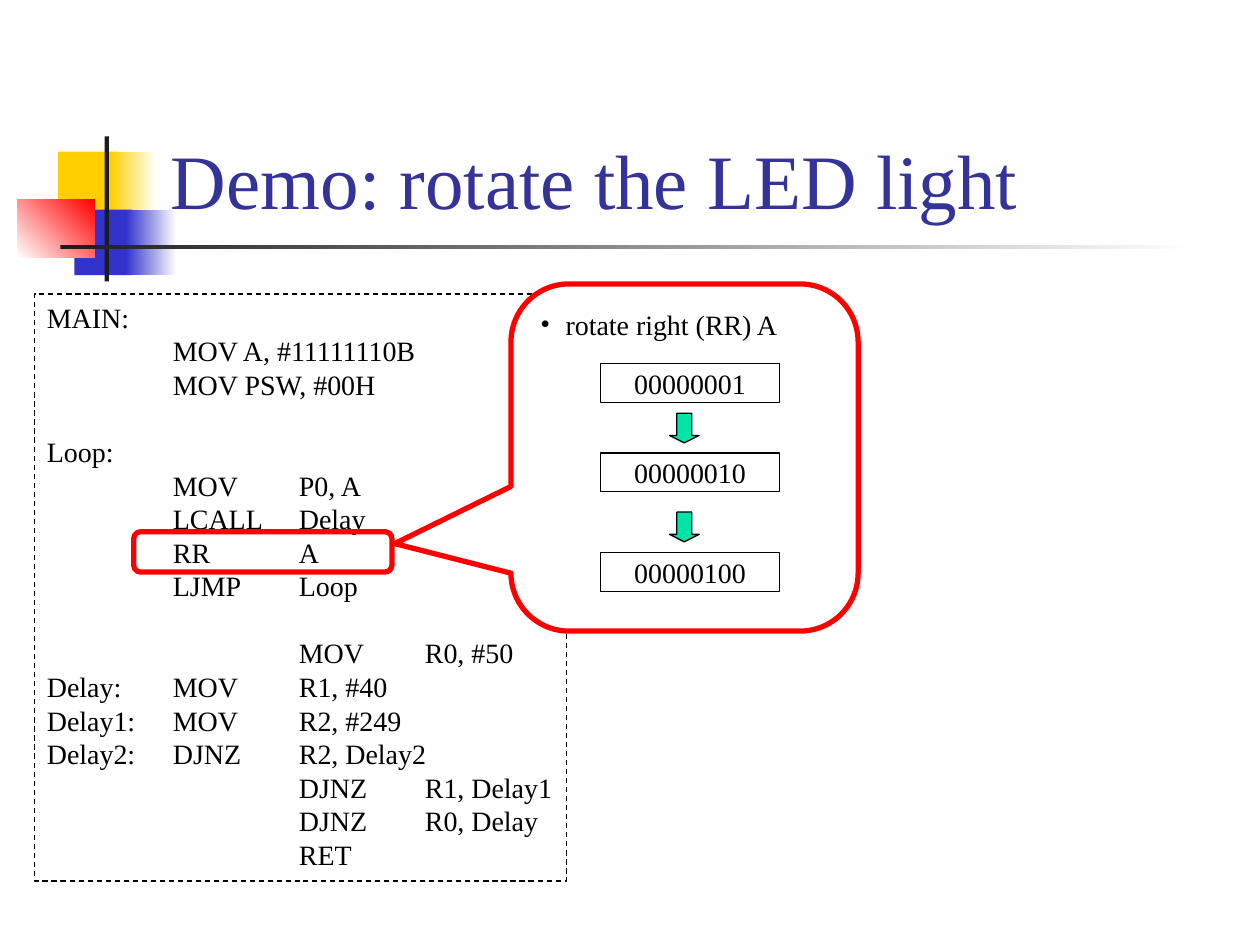
from lxml import etree
from pptx import Presentation
from pptx.dml.color import RGBColor
from pptx.enum.dml import MSO_LINE
from pptx.enum.shapes import MSO_SHAPE
from pptx.enum.text import MSO_ANCHOR, MSO_AUTO_SIZE, PP_ALIGN
from pptx.oxml.ns import qn
from pptx.util import Inches, Pt

RECT, ROUND = MSO_SHAPE.RECTANGLE, MSO_SHAPE.ROUNDED_RECTANGLE
CALL, DOWN = MSO_SHAPE.ROUNDED_RECTANGULAR_CALLOUT, MSO_SHAPE.DOWN_ARROW
DASH = MSO_LINE.DASH
TOP, MID, LOW = MSO_ANCHOR.TOP, MSO_ANCHOR.MIDDLE, MSO_ANCHOR.BOTTOM
LEFT, MIDDLE = PP_ALIGN.LEFT, PP_ALIGN.CENTER
FIXED = MSO_AUTO_SIZE.NONE
FONT = "Times New Roman"
COLS, ROWS = 100, 75
CELL = Inches(0.1)
HEX = {
    "ink": "000000", "dark": "1C1C1C", "white": "FFFFFF", "gold": "FFCF01",
    "blue": "3333CC", "red": "FF0000", "title": "333399", "mint": "00E4A8",
}
CODE = [
    ["MAIN:", "\tMOV A, #11111110B", "\tMOV PSW, #00H"],
    ["Loop:", "\tMOV \tP0, A", "\tLCALL\tDelay", "\tRR\tA", "\tLJMP\tLoop"],
    ["\t\tMOV\tR0, #50", "Delay:\tMOV\tR1, #40", "Delay1:\tMOV\tR2, #249",
     "Delay2:\tDJNZ\tR2, Delay2", "\t\tDJNZ\tR1, Delay1",
     "\t\tDJNZ\tR0, Delay", "\t\tRET"],
]
BITS = ["00000001", "00000010", "00000100"]


def color(name):
    """Return the named colour."""
    return RGBColor.from_string(HEX[name])


def place(box, x, y, wide, high):
    """Return a part's grid box from its offset inside a parent box."""
    return box[0] + x, box[1] + y, wide, high


def draw(slide, kind, box, fill=None, line=None, width=0.75):
    """Draw a preset shape in a grid box."""
    shape = slide.shapes.add_shape(kind, *(round(n * CELL) for n in box))
    shape.shadow.inherit = False
    if fill:
        shape.fill.solid()
        shape.fill.fore_color.rgb = color(fill)
    else:
        shape.fill.background()
    if line:
        shape.line.color.rgb = color(line)
        shape.line.width = Pt(width)
    else:
        shape.line.fill.background()
    return shape


def fade(shape, start, end, angle=0):
    """Fill a shape with a two-colour gradient."""
    shape.fill.gradient()
    shape.fill.gradient_angle = angle
    for stop, name in zip(shape.fill.gradient_stops, (start, end)):
        stop.color.rgb = color(name)


def write(par, text, size=16, ink="ink", align=LEFT):
    """Add one run of text to a paragraph."""
    par.alignment = align
    run = par.add_run()
    run.text = text
    run.font.name = FONT
    run.font.size = Pt(size)
    run.font.color.rgb = color(ink)


def motif(slide, box):
    """Draw the coloured squares and the crossing bars."""
    parts = [
        (3.2, 1.2, 4.8, 5.2, "gold", None, 0),
        (7.4, 1.2, 3.6, 5.2, "gold", "white", 0),
        (4.5, 5.8, 4.6, 5.2, "blue", None, 0),
        (8.6, 5.8, 4, 5.2, "blue", "white", 0),
        (0, 5, 6.1, 4.6, "white", "red", 45),
        (6.9, 0, 0.35, 11.5, "dark", None, 0),
        (3.4, 8.6, 90, 0.35, "dark", "white", 0),
    ]
    for x, y, wide, high, start, end, angle in parts:
        shape = draw(slide, RECT, place(box, x, y, wide, high), start)
        if end:
            fade(shape, start, end, angle)


def heading(slide, box):
    """Fill the title placeholder."""
    title = slide.shapes.title
    title.left, title.top, title.width, title.height = (
        round(n * CELL) for n in box)
    frame = title.text_frame
    frame.auto_size = FIXED
    frame.vertical_anchor = LOW
    write(frame.paragraphs[0], "Demo: rotate the LED light", 44, "title")


def tabs(par):
    """Set a tab stop at every inch of a paragraph."""
    stops = etree.SubElement(par._p.get_or_add_pPr(), qn("a:tabLst"))
    for inch in (1, 2, 3):
        etree.SubElement(stops, qn("a:tab"), pos=str(Inches(inch)), algn="l")


def listing(slide, box):
    """Write the program and mark its rotate line."""
    panel = draw(slide, RECT, box, line="ink")
    panel.line.dash_style = DASH
    frame = panel.text_frame
    frame.word_wrap = False
    frame.vertical_anchor = TOP
    par = frame.paragraphs[0]
    for part, block in enumerate(CODE):
        for row, text in enumerate(block):
            if part or row:
                par = frame.add_paragraph()
            if part and not row:
                par.space_before = Pt(19.2)
            write(par, text)
            tabs(par)
    mark = draw(slide, ROUND, place(box, 7.87, 18.87, 20.5, 3.2),
                line="red", width=3)
    mark.adjustments[0] = 0.17


def bullet(par):
    """Give a paragraph a hanging dot."""
    props = par._p.get_or_add_pPr()
    props.set("marL", str(Inches(0.2)))
    props.set("indent", str(-Inches(0.2)))
    etree.SubElement(props, qn("a:buFont")).set("typeface", FONT)
    etree.SubElement(props, qn("a:buChar")).set("char", "•")


def callout(slide, box):
    """Draw the balloon with the rotated bytes."""
    balloon = draw(slide, CALL, box, "white", "red", 3)
    for spot, value in enumerate((-0.835, 0.248, 0.167)):
        balloon.adjustments[spot] = value
    frame = balloon.text_frame
    frame.word_wrap = True
    frame.vertical_anchor = TOP
    write(frame.paragraphs[0], "rotate right (RR) A")
    bullet(frame.paragraphs[0])
    for y, text in zip((6.3, 13.4, 21.3), BITS):
        byte = draw(slide, RECT, place(box, 7.1, y, 14.2, 3.1), line="ink")
        byte.text_frame.word_wrap = False
        byte.text_frame.vertical_anchor = MID
        write(byte.text_frame.paragraphs[0], text, align=MIDDLE)
    for y in (10.25, 18.1):
        arrow = draw(slide, DOWN, place(box, 12.57, y, 2.36, 2.36),
                     "mint", "ink")
        arrow.adjustments[0] = 0.5
        arrow.adjustments[1] = 0.25


def main():
    """Build and save the slide."""
    deck = Presentation()
    deck.slide_width, deck.slide_height = COLS * CELL, ROWS * CELL
    slide = deck.slides.add_slide(deck.slide_layouts[5])
    motif(slide, (1.4, 10.83, 93.4, 11.5))
    heading(slide, (12.57, 2.35, 85.2, 16))
    listing(slide, (2.74, 23.33, 42.2, 46.6))
    callout(slide, (40.56, 22.54, 27.55, 27.55))
    deck.save("out.pptx")


if __name__ == "__main__":
    main()
